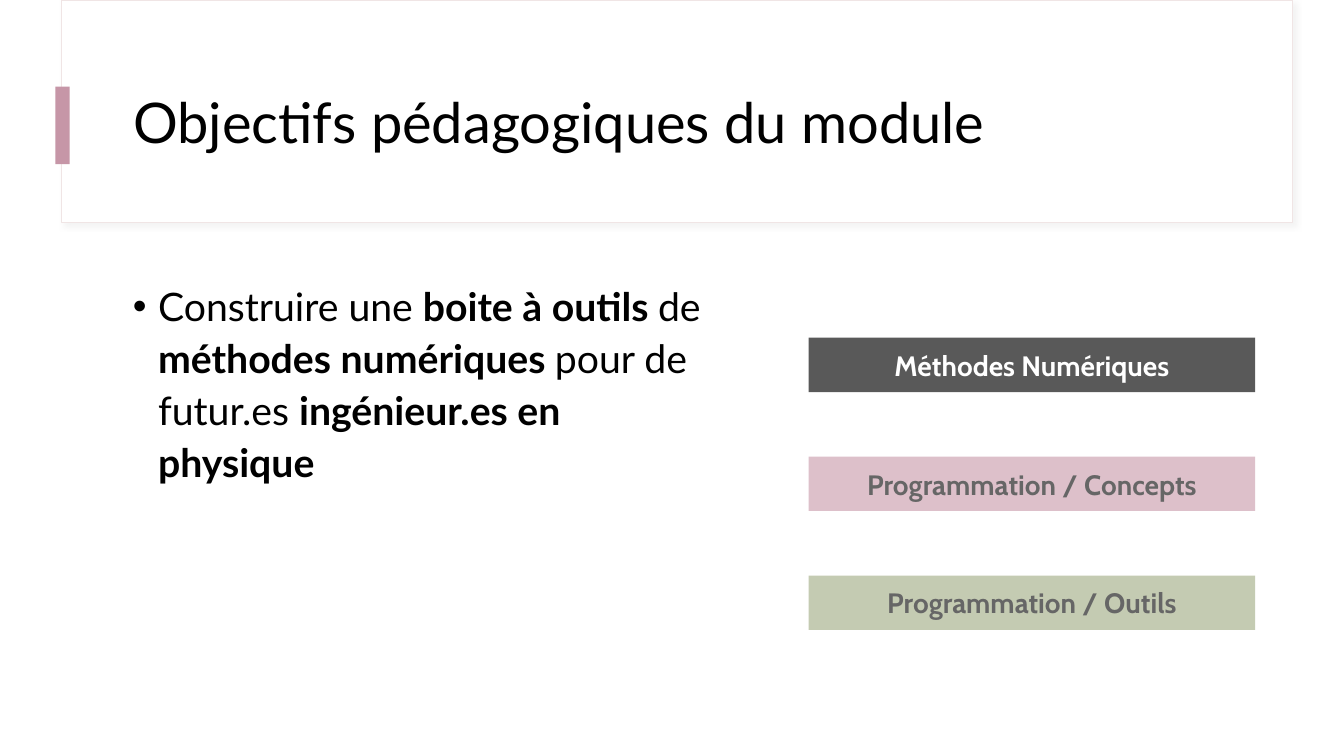
from lxml.etree import SubElement
from pptx import Presentation
from pptx.dml.color import RGBColor
from pptx.enum.shapes import MSO_SHAPE
from pptx.enum.text import MSO_ANCHOR, PP_ALIGN
from pptx.oxml import parse_xml
from pptx.oxml.ns import nsdecls, qn
from pptx.util import Inches, Pt

BLACK = RGBColor(0x00, 0x00, 0x00)
WHITE = RGBColor(0xFF, 0xFF, 0xFF)
FRAME_LINE = RGBColor(0xF0, 0xE5, 0xE5)
ROSE = RGBColor(0xC6, 0x96, 0xA7)
LIGHT_ROSE = RGBColor(0xDD, 0xC0, 0xCA)
SAGE = RGBColor(0xC4, 0xCB, 0xB2)
DARK_GREY = RGBColor(0x59, 0x59, 0x59)
MID_GREY = RGBColor(0x66, 0x66, 0x66)

OBJECTIVE = [
    ("Construire une ", False),
    ("boite à outils ", True),
    ("de ", False),
    ("méthodes numériques ", True),
    ("pour de futur.es ", False),
    ("ingénieur.es en physique", True),
]
THEMES = [
    ("Méthodes Numériques", DARK_GREY, WHITE),
    ("Programmation / Concepts", LIGHT_ROSE, MID_GREY),
    ("Programmation / Outils", SAGE, MID_GREY),
]


def format_font(font, color, **values):
    for name, value in values.items():
        setattr(font, name, value)
    font.color.rgb = color


def add_rectangle(slide, left, top, width, height, fill):
    shape = slide.shapes.add_shape(
        MSO_SHAPE.RECTANGLE, Inches(left), Inches(top), Inches(width), Inches(height))
    shape.shadow.inherit = False
    shape.fill.solid()
    shape.fill.fore_color.rgb = fill
    shape.line.fill.background()
    return shape


def add_soft_shadow(shape):
    effects = shape.element.spPr.find(qn("a:effectLst"))
    effects.append(parse_xml(
        f'<a:outerShdw {nsdecls("a")} blurRad="{Pt(4)}" dist="{Pt(3)}" dir="2700000" '
        'algn="tl" rotWithShape="0"><a:srgbClr val="D9D9D9"><a:alpha val="30000"/>'
        '</a:srgbClr></a:outerShdw>'))


def add_header(slide, left, top, width, height):
    # Framed panel with a soft shadow
    frame = add_rectangle(slide, left, top, width, height, WHITE)
    frame.line.color.rgb = FRAME_LINE
    frame.line.width = Pt(0.75)
    add_soft_shadow(frame)

    # Accent bar across the left edge
    add_rectangle(slide, left - 0.06, top + 0.86, 0.14, 0.77, ROSE)

    # Title, brought in front of the panel
    title = slide.shapes.title
    title.element.getparent().append(title.element)
    title.left, title.top = Inches(left + 0.61), Inches(top + 0.6)
    title.width, title.height = Inches(11.12), Inches(1.29)
    title.text_frame.text = "Objectifs pédagogiques du module"
    title.text_frame.vertical_anchor = MSO_ANCHOR.MIDDLE
    paragraph = title.text_frame.paragraphs[0]
    paragraph.alignment = PP_ALIGN.LEFT
    paragraph.line_spacing = 0.9
    format_font(paragraph.runs[0].font, BLACK, name="Lato", size=Pt(40))


def add_objective(slide, left, top, width, height):
    text_box = slide.shapes.add_textbox(
        Inches(left), Inches(top), Inches(width), Inches(height))
    text_box.text_frame.word_wrap = True
    paragraph = text_box.text_frame.paragraphs[0]
    paragraph.line_spacing = 1.1

    # Hanging bullet
    properties = paragraph._p.get_or_add_pPr()
    properties.set("marL", str(Inches(0.25)))
    properties.set("indent", str(-Inches(0.25)))
    SubElement(properties, qn("a:buFont"), typeface="Arial")
    SubElement(properties, qn("a:buChar"), char="•")

    for text, bold in OBJECTIVE:
        run = paragraph.add_run()
        run.text = text
        format_font(run.font, BLACK, name="Lato", size=Pt(28), bold=bold)


def add_themes(slide, left, top, width, height, pitch):
    for index, (label, fill, color) in enumerate(THEMES):
        shape = add_rectangle(slide, left, top + index * pitch, width, height, fill)
        frame = shape.text_frame
        for side in ("left", "top", "right", "bottom"):
            setattr(frame, f"margin_{side}", Inches(0.1))
        frame.vertical_anchor = MSO_ANCHOR.MIDDLE
        frame.text = label
        paragraph = frame.paragraphs[0]
        paragraph.alignment = PP_ALIGN.CENTER
        format_font(paragraph.runs[0].font, color, name="Cabin", size=Pt(20), bold=True)


def main():
    presentation = Presentation()
    presentation.slide_width = Inches(13.33)
    presentation.slide_height = Inches(7.5)
    slide = presentation.slides.add_slide(presentation.slide_layouts.get_by_name("Title Only"))
    add_header(slide, 0.61, 0, 12.21, 2.21)
    add_objective(slide, 1.22, 2.71, 5.83, 4.04)
    add_themes(slide, 8.02, 3.35, 4.43, 0.54, pitch=1.18)
    presentation.save("out.pptx")


if __name__ == "__main__":
    main()
